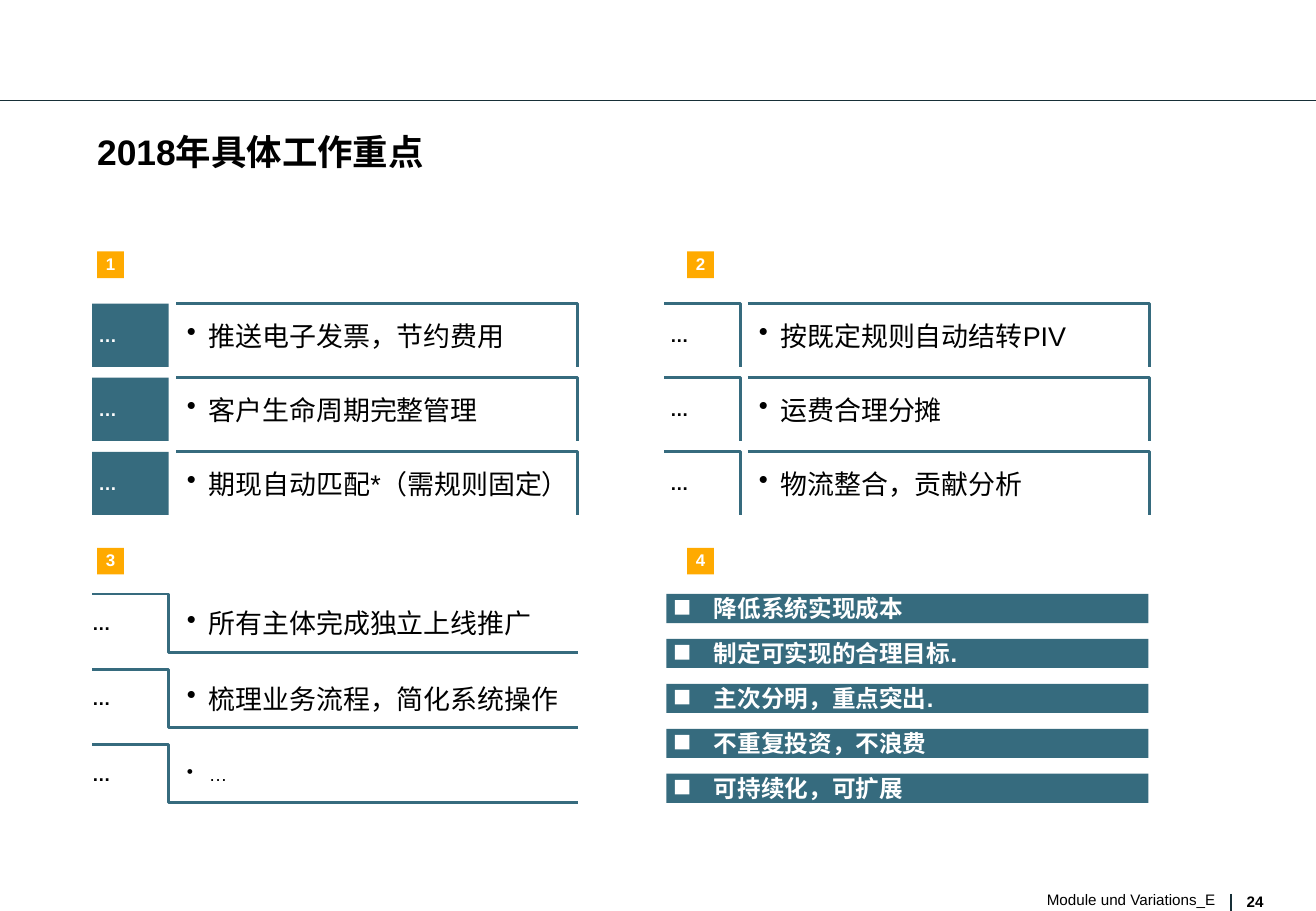
from lxml import etree
from pptx import Presentation
from pptx import util as u
from pptx.dml.color import RGBColor
from pptx.enum import shapes, text
from pptx.oxml.ns import qn

# Content
TITLE = "2018年具体工作重点"
FOOTER, PAGE_NUMBER = "Module und Variations_E", "24"
TAG = "…"
# Each item: wording, size in points, lines it takes
INVOICING = [("推送电子发票，节约费用", 16, 1),
             ("客户生命周期完整管理", 16, 1),
             ("期现自动匹配*（需规则固定）", 16, 2)]
LOGISTICS = [("按既定规则自动结转PIV", 16, 1),
             ("运费合理分摊", 16, 1),
             ("物流整合，贡献分析", 16, 1)]
ROLLOUT = [("所有主体完成独立上线推广", 16, 1),
           ("梳理业务流程，简化系统操作", 16, 1),
           ("…", 11, 1)]
GOALS = ["降低系统实现成本", "制定可实现的合理目标.", "主次分明，重点突出.",
         "不重复投资，不浪费", "可持续化，可扩展"]

# Style
FONT = "Arial"
TEAL = RGBColor(0x36, 0x6B, 0x7E)
AMBER = RGBColor(0xFF, 0xAA, 0x00)
INK = RGBColor(0x17, 0x2F, 0x37)
BLACK = RGBColor(0, 0, 0)
WHITE = RGBColor(0xFF, 0xFF, 0xFF)

# Grid, in inches
WIDTH, HEIGHT = 10.84, 7.5
LEFT_COLUMN, RIGHT_COLUMN = 0.76, 5.47
TOP_ROW, BOTTOM_ROW = 2.5, 4.89
TAG_WIDTH, PANEL_WIDTH = 0.63, 4.0
ITEM_OFFSET, TEXT_OFFSET, TEXT_WIDTH = 0.69, 0.78, 3.18
CELL_HEIGHT, STEP_HEIGHT = 0.52, 0.48
CELL_PITCH, STEP_PITCH = 0.61, 0.62
BAR_LEFT, BAR_WIDTH, BAR_HEIGHT, BAR_PITCH = 5.49, 3.97, 0.24, 0.37
BADGE, MARKER = 0.22, 0.12

deck = Presentation()
deck.slide_width, deck.slide_height = u.Inches(WIDTH), u.Inches(HEIGHT)
page = deck.slides.add_slide(deck.slide_layouts[6])


def inches(*values):
    return [u.Inches(value) for value in values]


def write(box, words, size, color, bold=False, align=None, spacing=None,
          anchor=text.MSO_ANCHOR.TOP, bullet=False, wrap=True):
    frame = box.text_frame
    frame.margin_left = frame.margin_right = 0
    frame.margin_top = frame.margin_bottom = 0
    frame.word_wrap, frame.vertical_anchor = wrap, anchor
    frame.text = words
    para = frame.paragraphs[0]
    if bullet:
        props = para._p.get_or_add_pPr()
        props.set("marL", str(u.Inches(0.18)))
        props.set("indent", str(u.Inches(-0.18)))
        etree.SubElement(props, qn("a:buChar")).set("char", "•")
    para.alignment = align
    if spacing:
        para.line_spacing = spacing
    font = para.runs[0].font
    font.name, font.size, font.bold = FONT, u.Pt(size), bold
    font.color.rgb = color


def add_text(left, top, width, height, words, size, color, **style):
    box = page.shapes.add_textbox(*inches(left, top, width, height))
    write(box, words, size, color, **style)


def add_centred(left, middle, width, words, size, color, lines=1, **style):
    height = lines * size / 60
    add_text(left, middle - height / 2, width, height, words, size, color,
             anchor=text.MSO_ANCHOR.MIDDLE, **style)


def add_block(left, top, width, height, color):
    block = page.shapes.add_shape(shapes.MSO_SHAPE.RECTANGLE,
                                  *inches(left, top, width, height))
    block.shadow.inherit = False
    block.fill.solid()
    block.fill.fore_color.rgb = color
    block.line.fill.background()
    return block


def add_outline(*points):
    start, *rest = [inches(*point) for point in points]
    builder = page.shapes.build_freeform(*start)
    builder.add_line_segments(rest, close=False)
    outline = builder.convert_to_shape()
    outline.shadow.inherit = False
    outline.fill.background()
    outline.line.color.rgb, outline.line.width = TEAL, u.Pt(1.75)


def add_corner(left, top, right):
    add_outline((left, top), (right, top), (right, top + CELL_HEIGHT))


def add_rule(x1, y1, x2, y2):
    rule = page.shapes.add_connector(shapes.MSO_CONNECTOR.STRAIGHT,
                                     *inches(x1, y1, x2, y2))
    rule.line.color.rgb, rule.line.width = INK, u.Pt(0.75)
    etree.SubElement(rule._element.spPr, qn("a:effectLst"))


def add_panel(items, left, top, kind):
    height, pitch = ((STEP_HEIGHT, STEP_PITCH) if kind == "step"
                     else (CELL_HEIGHT, CELL_PITCH))
    tag_right, right = left + TAG_WIDTH, left + PANEL_WIDTH
    for row, (words, size, lines) in enumerate(items):
        y = top + row * pitch
        middle = y + height / 2
        if kind == "filled":
            add_block(left, y, TAG_WIDTH, height, TEAL)
        elif kind == "open":
            add_corner(left, y, tag_right)
        if kind == "step":
            add_outline((left, y), (tag_right, y),
                        (tag_right, y + height), (right, y + height))
        else:
            add_corner(left + ITEM_OFFSET, y, right)
        add_centred(left + (0 if kind == "step" else 0.05), middle, 0.55,
                    TAG, 11, WHITE if kind == "filled" else BLACK, bold=True)
        add_centred(left + TEXT_OFFSET, middle, TEXT_WIDTH, words, size,
                    BLACK, lines=lines, bullet=True)


# Header, title and footer
add_rule(0, 0.83, WIDTH, 0.83)
add_text(0.8, 1.1, 9.36, 0.72, TITLE, 21, BLACK, bold=True, spacing=0.93)
add_text(6.22, 7.33, 3.79, 0.15, FOOTER, 9, BLACK,
         align=text.PP_ALIGN.RIGHT, spacing=u.Pt(11))
add_rule(10.14, 7.36, 10.14, HEIGHT)
add_text(10.27, 7.35, 0.17, 0.14, PAGE_NUMBER, 9, BLACK, bold=True)

# Three panels of tagged items
add_panel(INVOICING, LEFT_COLUMN, TOP_ROW, "filled")
add_panel(LOGISTICS, RIGHT_COLUMN, TOP_ROW, "open")
add_panel(ROLLOUT, LEFT_COLUMN, BOTTOM_ROW, "step")

# Goal bars
for row, goal in enumerate(GOALS):
    bar_top = BOTTOM_ROW + row * BAR_PITCH
    add_block(BAR_LEFT, bar_top, BAR_WIDTH, BAR_HEIGHT, TEAL)
    add_block(BAR_LEFT + 0.07, bar_top + 0.05, MARKER, MARKER, WHITE)
    add_centred(BAR_LEFT + 0.39, bar_top + BAR_HEIGHT / 2, 3.49, goal, 14,
                WHITE, bold=True)

# Numbered badges
for index in range(4):
    row, column = divmod(index, 2)
    badge = add_block((0.8, 5.66)[column], (2.07, 4.51)[row],
                      BADGE, BADGE, AMBER)
    write(badge, str(index + 1), 10, WHITE, bold=True, spacing=0.93,
          align=text.PP_ALIGN.CENTER, anchor=text.MSO_ANCHOR.MIDDLE,
          wrap=False)

deck.save("out.pptx")
